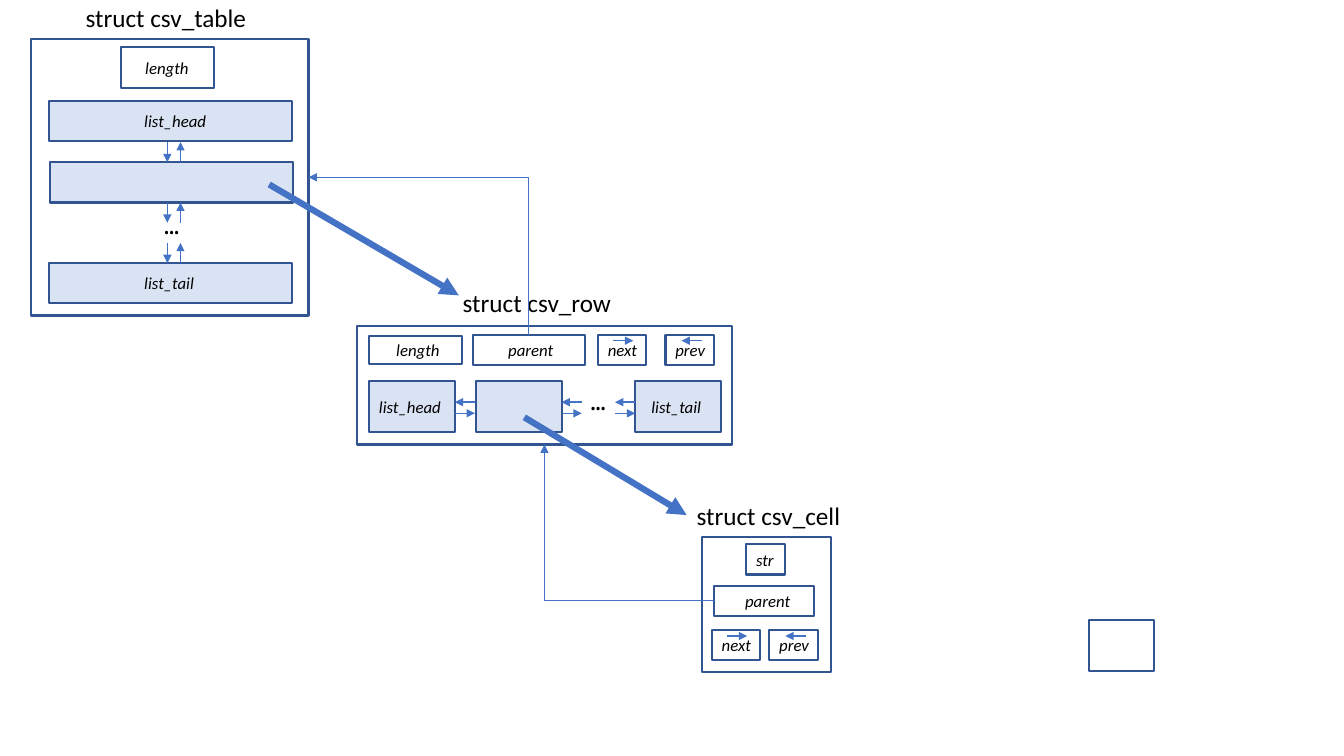
from lxml import etree
from pptx import Presentation
from pptx import util as u
from pptx.dml.color import RGBColor
from pptx.enum import shapes, text
from pptx.oxml.ns import qn

PX = 9144
COLORS = {"outline": "325491", "node": "DAE3F3", "arrow": "4472C4", "text": "000000"}

presentation = Presentation()
presentation.slide_width = u.Emu(1333 * PX)
presentation.slide_height = u.Emu(750 * PX)
slide = presentation.slides.add_slide(presentation.slide_layouts[6])


def add_box(left, top, width, height, label="", inset=10, fill=None, size=12, font="Calibri", outlined=True):
    place = [value * PX for value in (left, top, width, height)]
    if outlined:
        shape = slide.shapes.add_shape(shapes.MSO_SHAPE.RECTANGLE, *place)
        shape.shadow.inherit = False
        shape.line.color.rgb = RGBColor.from_string(COLORS["outline"])
        shape.line.width = u.Pt(1.5)
    else:
        shape = slide.shapes.add_textbox(*place)
    if fill:
        shape.fill.solid()
        shape.fill.fore_color.rgb = RGBColor.from_string(COLORS[fill])
    else:
        shape.fill.background()
    if label:
        frame = shape.text_frame
        frame.word_wrap = True
        frame.vertical_anchor = text.MSO_ANCHOR.MIDDLE
        frame.margin_left = inset * PX
        frame.margin_right = frame.margin_top = frame.margin_bottom = 0
        frame.text = label
        paragraph = frame.paragraphs[0]
        paragraph.alignment = text.PP_ALIGN.LEFT
        run_font = paragraph.runs[0].font
        run_font.size = u.Pt(size)
        run_font.name = font
        run_font.italic = outlined
        run_font.color.rgb = RGBColor.from_string(COLORS["text"])
    return shape


def add_arrow(start_x, start_y, end_x, end_y, width=1, arrowhead="tailEnd", bent=False):
    kind = shapes.MSO_CONNECTOR.ELBOW if bent else shapes.MSO_CONNECTOR.STRAIGHT
    connector = slide.shapes.add_connector(kind, *[value * PX for value in (start_x, start_y, end_x, end_y)])
    connector.line.color.rgb = RGBColor.from_string(COLORS["arrow"])
    connector.line.width = u.Pt(width)
    properties = connector._element.spPr
    etree.SubElement(properties.find(qn("a:ln")), qn("a:" + arrowhead), type="triangle")
    etree.SubElement(properties, qn("a:effectLst"))
    if bent:
        properties.find(qn("a:prstGeom")).set("prst", "bentConnector2")
    return connector


table_frame = add_box(31, 39, 275, 274)
row_frame = add_box(354, 323, 372, 118)
cell_frame = add_box(696, 533, 128, 134)
spare_box = add_box(1080, 615, 65, 51)

for left, top, width, title in [
    (75, -3, 241, "struct csv_table"),
    (449, 280, 231, "struct csv_row"),
    (681, 491, 168, "struct csv_cell"),
]:
    add_box(left, top, width, 40, title, size=18, outlined=False)

for left, top in [(153, 203), (576, 377)]:
    add_box(left, top, 33, 40, "…", size=18, font="Noto Sans Mono", outlined=False)

for left, top, label in [(49, 100, "list_head"), (50, 161, ""), (49, 261, "list_tail")]:
    add_box(left, top, 241, 40, label, 94, "node")

for left, label, inset in [(366, "list_head", 10), (472, "", 0), (630, "list_tail", 16)]:
    add_box(left, 378, 85, 51, label, inset, "node")

add_box(120, 47, 92, 40, "length", 24)
add_box(366, 333, 92, 28, "length", 27)
add_box(740, 540, 39, 30, "str")
row_parent = add_box(469, 332, 111, 30, "parent", 35)
cell_parent = add_box(708, 581, 99, 30, "parent", 31)

for next_left, prev_left, top in [(593, 660, 332), (706, 763, 625)]:
    add_box(next_left, top, 48, 30, "next")
    add_box(prev_left, top, 48, 30, "prev")
    add_arrow(next_left + 15, top + 6, next_left + 35, top + 6)
    add_arrow(prev_left + 36, top + 6, prev_left + 16, top + 6)

for top in (141, 201, 241):
    add_arrow(166, top, 166, top + 20)
    add_arrow(179, top + 20, 179, top)

for left in (451, 557, 610):
    add_arrow(left + 20, 399, left, 399)
    add_arrow(left, 410, left + 20, 410)

row_link = add_arrow(306, 176, 524, 332, 0.5, "headEnd", True)
row_link.begin_connect(table_frame, 3)
row_link.end_connect(row_parent, 0)

cell_link = add_arrow(708, 596, 540, 441, 0.5, bent=True)
cell_link.begin_connect(cell_parent, 1)
cell_link.end_connect(row_frame, 2)

add_arrow(267, 183, 455, 293, 4.5)
add_arrow(520, 414, 681, 511, 4.5)

presentation.save("out.pptx")
